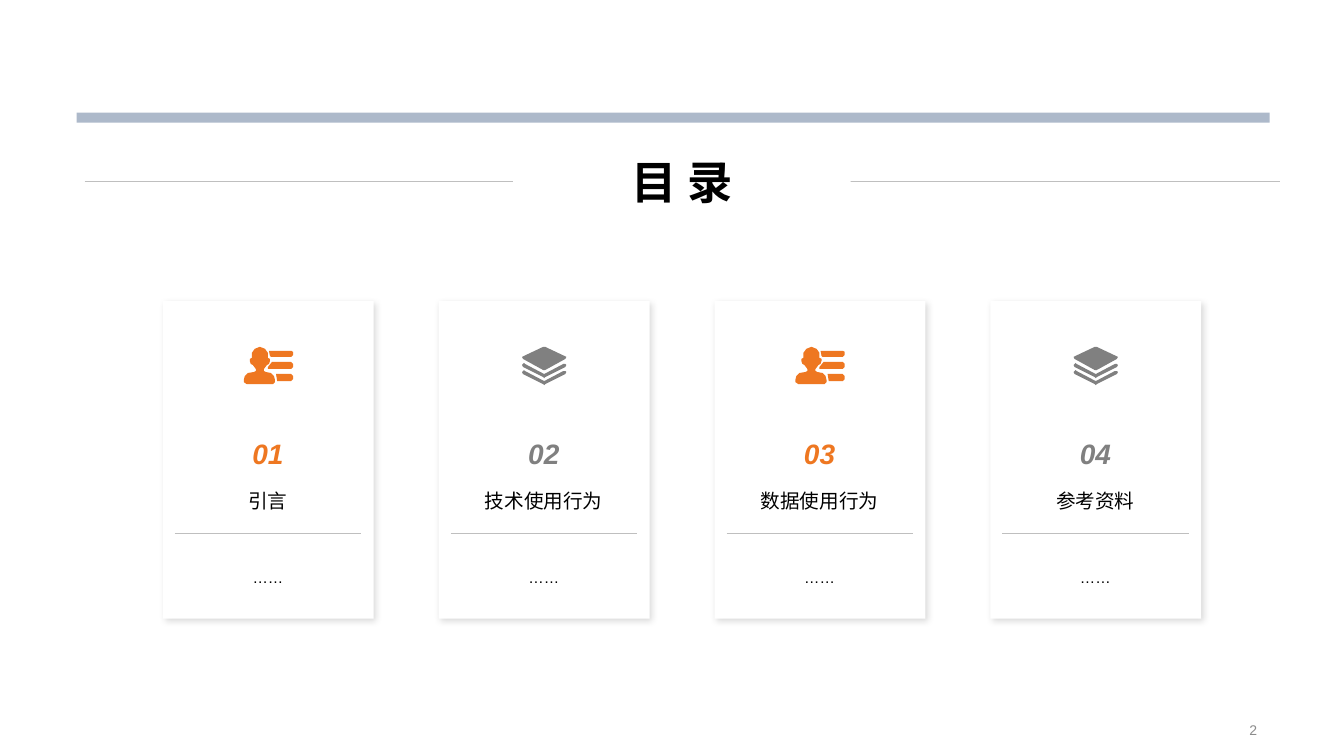
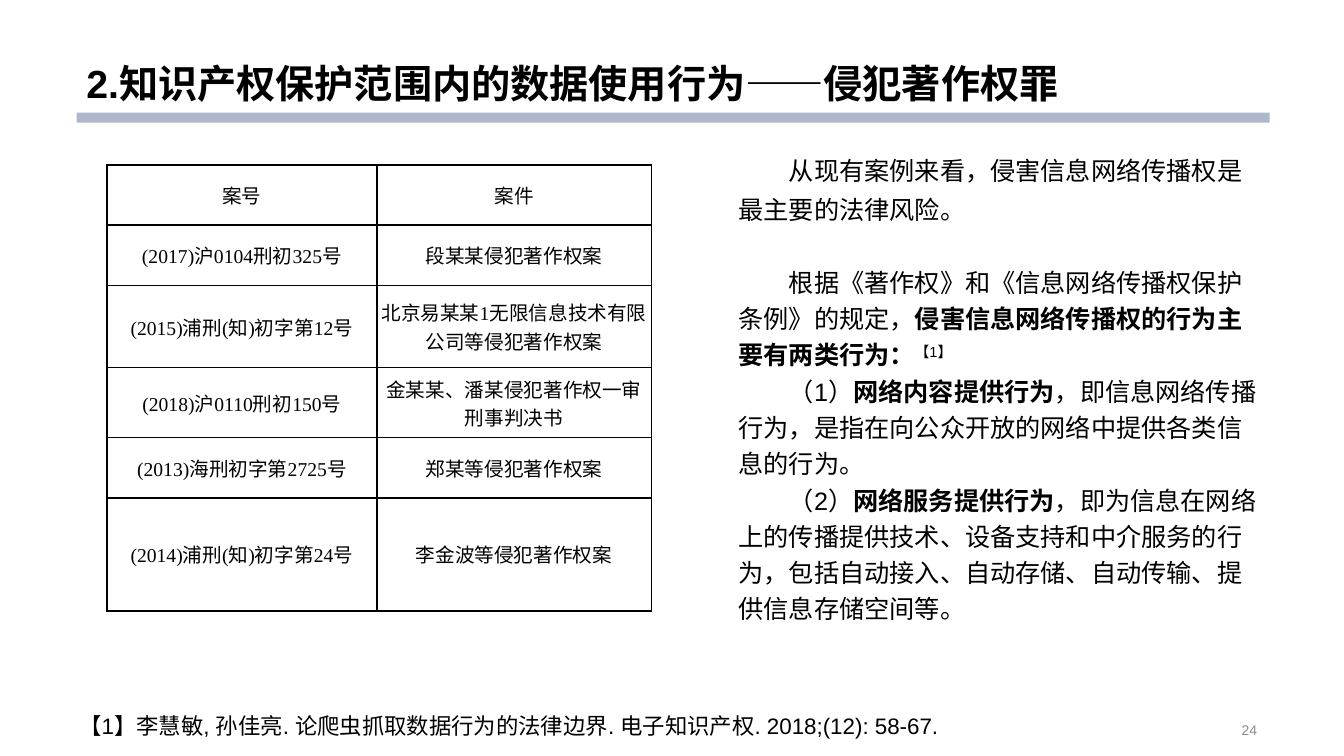
import lxml.etree
import pptx
import pptx.dml.color
import pptx.enum.shapes
import pptx.enum.text
import pptx.oxml
import pptx.oxml.ns
import pptx.util

Cm = pptx.util.Cm
Pt = pptx.util.Pt
RGBColor = pptx.dml.color.RGBColor
ALIGN = pptx.enum.text.PP_ALIGN
ANCHOR = pptx.enum.text.MSO_ANCHOR
qn = pptx.oxml.ns.qn

WHITE = RGBColor(0xFF, 0xFF, 0xFF)
BLACK = RGBColor(0x00, 0x00, 0x00)
BAND = RGBColor(0xAD, 0xB9, 0xCA)
RULE = RGBColor(0xBF, 0xBF, 0xBF)
ORANGE = RGBColor(0xEE, 0x77, 0x21)
GRAY = RGBColor(0x80, 0x80, 0x80)
PAGE_NUMBER = RGBColor(0x8C, 0x8C, 0x8C)

# Icon outlines, in hundredths of an inch
PERSON = [
    [(25, 4), (47, 4), (49, 5), (49, 8), (47, 10), (27, 10), (26, 9)],
    [(28, 15), (47, 15), (49, 17), (49, 20), (47, 22), (24, 22), (24, 20)],
    [(32, 27), (47, 27), (49, 29), (49, 32), (47, 34), (33, 34), (33, 33)],
    [(16, 0), (21, 2), (24, 6), (24, 11), (26, 12), (26, 14), (25, 17),
     (23, 18), (20, 22), (20, 24), (22, 25), (27, 26), (30, 29), (31, 33),
     (31, 35), (29, 37), (3, 37), (0, 35), (0, 33), (1, 29), (4, 26),
     (10, 25), (12, 24), (12, 22), (9, 18), (7, 17), (6, 14), (6, 12),
     (8, 11), (8, 6), (11, 2)],
]
CHEVRON = [(2, 16), (3, 17), (22, 27), (41, 17), (43, 17), (44, 18), (43, 20),
           (23, 30), (22, 31), (21, 30), (1, 20), (0, 18), (1, 17)]
LAYERS = [
    [(21, 0), (23, 0), (42, 9), (44, 10), (43, 12), (23, 23), (21, 23),
     (1, 12), (0, 10), (2, 9)],
    CHEVRON,
    [(x, y + 7) for x, y in CHEVRON],
]

CHAPTERS = ["引言", "技术使用行为", "数据使用行为", "参考资料"]
CARD_STYLES = [(PERSON, ORANGE), (LAYERS, GRAY)]
CARD_LEFT, CARD_TOP, CARD_WIDTH, CARD_HEIGHT = 4.11, 7.59, 5.31, 8
CARD_PITCH = 6.95

CASE_TITLE = "2.知识产权保护范围内的数据使用行为——侵犯著作权罪"
CASES = [
    ("案号", "案件"),
    ("(2017)沪0104刑初325号", "段某某侵犯著作权案"),
    ("(2015)浦刑(知)初字第12号", "北京易某某1无限信息技术有限公司等侵犯著作权案"),
    ("(2018)沪0110刑初150号", "金某某、潘某侵犯著作权一审刑事判决书"),
    ("(2013)海刑初字第2725号", "郑某等侵犯著作权案"),
    ("(2014)浦刑(知)初字第24号", "李金波等侵犯著作权案"),
]
CASE_COLUMNS = [6.81, 6.91]
CASE_ROWS = [1.52, 1.52, 2.08, 1.76, 1.52, 2.84]

# Each paragraph: line spacing, space before, runs of (text, style)
ANALYSIS = [
    (1.3, 0, [("从现有案例来看，侵害信息网络传播权是最主要的法律风险。", "")]),
    (1.2, 26, [("根据《著作权》和《信息网络传播权保护条例》的规定，", ""),
               ("侵害信息网络传播权的行为主要有两类行为：", "bold"),
               ("【1】", "superscript")]),
    (1.2, 0, [("（1）", ""), ("网络内容提供行为", "bold"),
              ("，即信息网络传播行为，是指在向公众开放的网络中提供各类信息的行为。", "")]),
    (1.2, 0, [("（2）", ""), ("网络服务提供行为", "bold"),
              ("，即为信息在网络上的传播提供技术、设备支持和中介服务的行为，"
               "包括自动接入、自动存储、自动传输、提供信息存储空间等。", "")]),
]
CITATION = ("【1】李慧敏, 孙佳亮. 论爬虫抓取数据行为的法律边界. "
            "电子知识产权. 2018;(12): 58-67.")


def set_font(para, size, color=BLACK, name="Arial", bold=False, italic=False):
    font = para.font
    font.name, font.size = name, Pt(size)
    font.bold, font.italic = bold, italic
    font.color.rgb = color


def add_text(page, area, text, size, align=ALIGN.LEFT, anchor=ANCHOR.MIDDLE,
             **style):
    box = page.shapes.add_textbox(*map(Cm, area))
    frame = box.text_frame
    frame.word_wrap = True
    frame.vertical_anchor = anchor
    para = frame.paragraphs[0]
    para.text = text
    para.alignment = align
    set_font(para, size, **style)
    return box


def paint(shape, color):
    shape.shadow.inherit = False
    shape.fill.solid()
    shape.fill.fore_color.rgb = color
    shape.line.fill.background()


def add_rectangle(page, area, color):
    shape = page.shapes.add_shape(
        pptx.enum.shapes.MSO_SHAPE.RECTANGLE, *map(Cm, area))
    paint(shape, color)
    return shape


def add_rule(page, left, top, width):
    rule = page.shapes.add_connector(
        pptx.enum.shapes.MSO_CONNECTOR.STRAIGHT,
        Cm(left), Cm(top), Cm(left + width), Cm(top))
    rule.line.color.rgb = RULE
    rule.line.width = Pt(0.25)
    lxml.etree.SubElement(rule._element.spPr, qn("a:effectLst"))


def add_soft_shadow(shape):
    effects = shape._element.spPr.find(qn("a:effectLst"))
    shadow = lxml.etree.SubElement(
        effects, qn("a:outerShdw"), blurRad=str(Pt(5)), dist=str(Pt(2)),
        dir=str(45 * 60000), algn="tl", rotWithShape="0")
    color = lxml.etree.SubElement(shadow, qn("a:srgbClr"), val=str(BLACK))
    lxml.etree.SubElement(color, qn("a:alpha"), val="15000")


def add_icon(page, contours, color, center, top):
    scale = Cm(2.54) / 100
    width = max(x for contour in contours for x, _ in contour) * scale
    builder = page.shapes.build_freeform(*contours[0][0], scale=scale)
    for contour in contours:
        builder.move_to(*contour[0])
        builder.add_line_segments(contour[1:], close=True)
    icon = builder.convert_to_shape(int(Cm(center) - width / 2), Cm(top))
    paint(icon, color)


def add_page(deck, number):
    """Add a blank page with the shared band and page number."""
    page = deck.slides.add_slide(deck.slide_layouts[6])
    add_rectangle(page, (1.93, 2.84, 30.07, 0.25), BAND)
    add_text(page, (30.33, 18.08, 1.6, 0.64), str(number), 10,
             ALIGN.RIGHT, color=PAGE_NUMBER)
    return page


def add_card(page, index, chapter):
    contours, color = CARD_STYLES[index % len(CARD_STYLES)]
    left = CARD_LEFT + index * CARD_PITCH
    card = add_rectangle(page, (left, CARD_TOP, CARD_WIDTH, CARD_HEIGHT), WHITE)
    add_soft_shadow(card)
    add_icon(page, contours, color, left + CARD_WIDTH / 2, 8.74)
    text_left, text_width = left + 0.17, 4.95
    add_text(page, (text_left, 10.82, text_width, 1.22), f"{index + 1:02}", 20,
             ALIGN.CENTER, color=color, bold=True, italic=True)
    add_text(page, (text_left, 12.07, text_width, 1.07), chapter, 14,
             ALIGN.CENTER)
    add_rule(page, left + 0.3, 13.44, 4.7)
    add_text(page, (text_left, 14.05, text_width, 1.02), "……", 11, ALIGN.CENTER)


def build_contents(deck):
    page = add_page(deck, 2)
    for index, chapter in enumerate(CHAPTERS):
        add_card(page, index, chapter)
    add_rule(page, 2.13, 4.57, 30.12)
    heading = (12.93, 3.66, 8.51, 1.8)
    add_rectangle(page, heading, WHITE)
    add_text(page, heading, "目 录", 32.4, ALIGN.CENTER, bold=True)


def set_borders(cell, widths):
    properties = cell._tc.get_or_add_tcPr()
    for side, width in zip("LRTB", widths):
        line = lxml.etree.SubElement(
            properties, qn(f"a:ln{side}"), w=str(Pt(width)))
        fill = lxml.etree.SubElement(line, qn("a:solidFill"))
        lxml.etree.SubElement(fill, qn("a:srgbClr"), val=str(BLACK))


def add_case_table(page):
    table = page.shapes.add_table(
        len(CASE_ROWS), len(CASE_COLUMNS), Cm(2.69), Cm(4.15),
        Cm(sum(CASE_COLUMNS)), Cm(sum(CASE_ROWS))).table
    table.first_row = table.horz_banding = False
    for column, width in zip(table.columns, CASE_COLUMNS):
        column.width = Cm(width)
    for row, height in zip(table.rows, CASE_ROWS):
        row.height = Cm(height)
    last = len(CASES) - 1
    for r, case in enumerate(CASES):
        for c, text in enumerate(case):
            cell = table.cell(r, c)
            set_borders(cell, (1 if c else 1.5, 1,
                               1.5 if r < 2 else 1,
                               1.5 if r in (0, last) else 1))
            cell.fill.background()
            cell.vertical_anchor = ANCHOR.MIDDLE
            cell.margin_left = cell.margin_right = Cm(0.03)
            cell.margin_top = cell.margin_bottom = Cm(0.03)
            para = cell.text_frame.paragraphs[0]
            para.text = text
            para.alignment = ALIGN.CENTER
            set_font(para, 14, name="Times New Roman")


def add_analysis(page):
    box = page.shapes.add_textbox(Cm(18.36), Cm(3.56), Cm(13.79), Cm(12.4))
    frame = box.text_frame
    frame.word_wrap = True
    for index, (spacing, before, runs) in enumerate(ANALYSIS):
        para = frame.add_paragraph() if index else frame.paragraphs[0]
        para.line_spacing = spacing
        para.space_before = Pt(before)
        para._p.get_or_add_pPr().set("indent", str(Cm(1.27)))
        set_font(para, 18)
        for text, style in runs:
            span = para.add_run()
            span.text = text
            if style == "bold":
                span.font.bold = True
            elif style == "superscript":
                span._r.get_or_add_rPr().set("baseline", "30000")


def build_cases(deck):
    page = add_page(deck, 24)
    title = add_text(page, (1.93, 0, 30, 2.82), CASE_TITLE, 28,
                     anchor=ANCHOR.BOTTOM, bold=True)
    title.text_frame.paragraphs[0].line_spacing = 0.9
    add_case_table(page)
    add_analysis(page)
    add_text(page, (1.75, 17.81, 29.69, 0.94), CITATION, 16, anchor=ANCHOR.TOP)


def main():
    deck = pptx.Presentation()
    deck.slide_width, deck.slide_height = Cm(33.87), Cm(19.05)
    build_contents(deck)
    build_cases(deck)
    deck.save("out.pptx")


if __name__ == "__main__":
    main()
